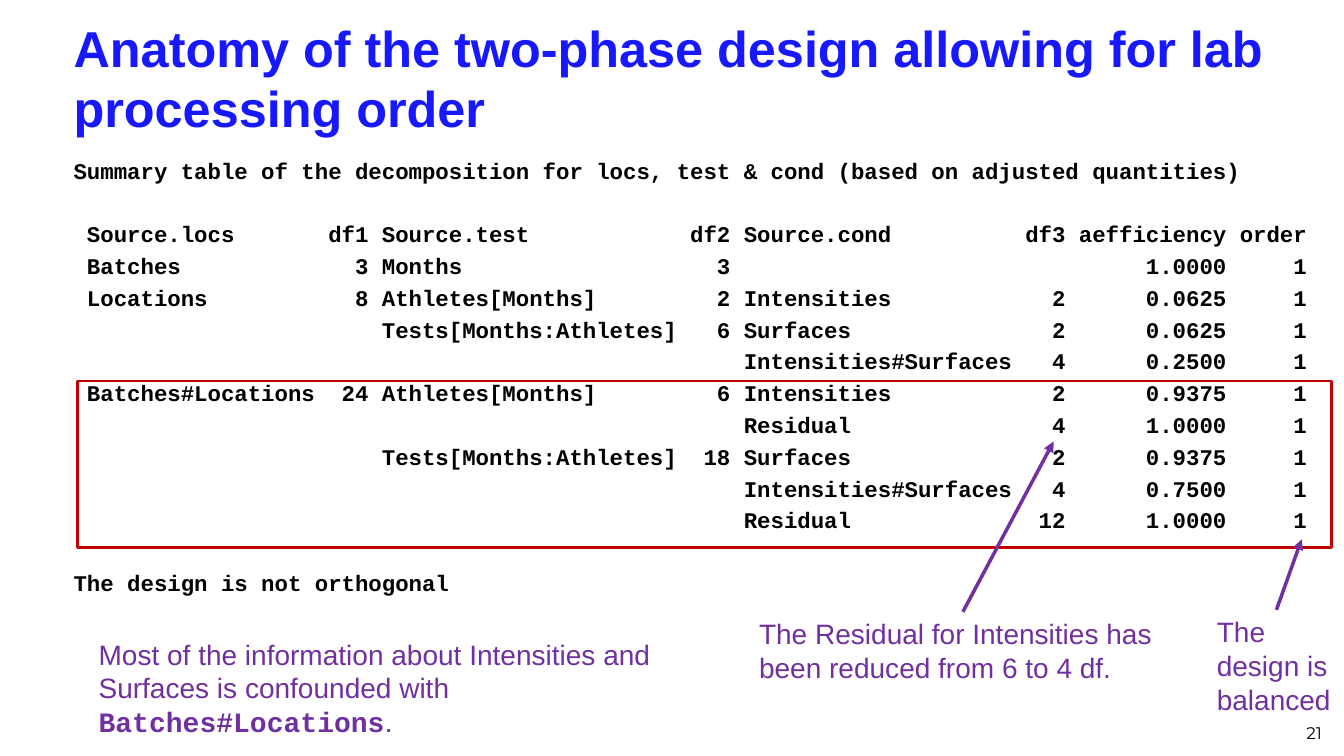
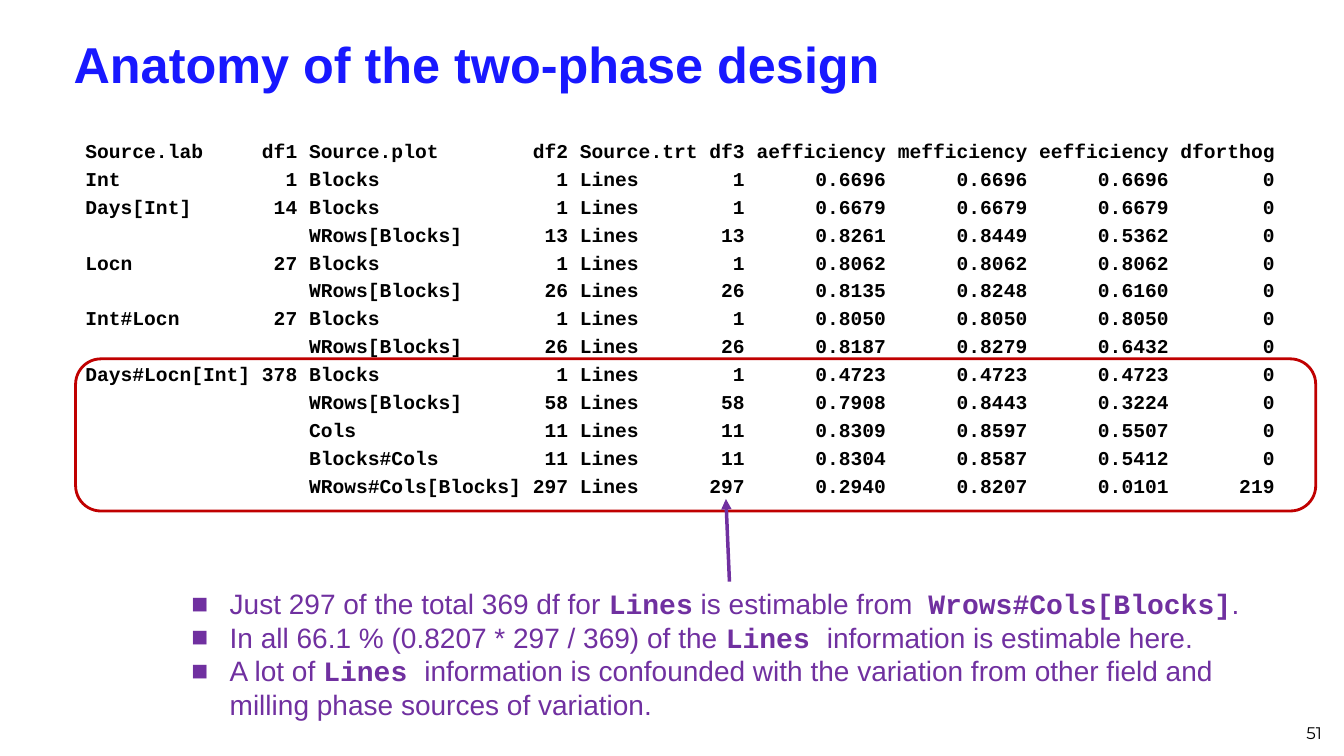
from dataclasses import dataclass
from typing import Optional

from lxml.etree import SubElement
from pptx import Presentation
from pptx.dml.color import RGBColor
from pptx.enum.shapes import MSO_CONNECTOR, MSO_SHAPE
from pptx.enum.text import MSO_ANCHOR, MSO_AUTO_SIZE, PP_ALIGN
from pptx.oxml.ns import qn
from pptx.util import Inches, Pt

# Shared look
TITLE_BLUE = RGBColor(0x18, 0x18, 0xFF)
NOTE_PURPLE = RGBColor(0x70, 0x30, 0xA0)
FRAME_RED = RGBColor(0xC0, 0x00, 0x00)
BLACK = RGBColor(0x00, 0x00, 0x00)
SANS, MONO, NUMBER_FONT = "Arial", "Courier New", "Montserrat"
LEFT, WIDTH = 0.63, 12.6
TITLE_TOP = 0.23
# Space before a listing line and before a listing block, relative to text size
LINE_GAP, BLOCK_GAP = 0.22, 1.62
BULLET_INDENT = Inches(0.38)

Block = tuple[str, ...]


@dataclass(frozen=True)
class Box:
    left: float
    top: float
    width: float
    height: float

    def lengths(self) -> tuple:
        return tuple(Inches(v) for v in (self.left, self.top, self.width, self.height))


@dataclass(frozen=True)
class Note:
    """A purple remark; words between backticks are set as code."""
    box: Box
    paragraphs: tuple[str, ...]
    bulleted: bool = False
    arrow_tip: Optional[tuple[float, float]] = None


@dataclass(frozen=True)
class AnatomySlide:
    title: str
    title_height: float
    listing: tuple[Block, ...]
    listing_box: Box
    listing_size: int
    frame: MSO_SHAPE
    frame_box: Box
    notes: tuple[Note, ...]
    number: str


LAB_ORDER_LISTING = (
    ("Summary table of the decomposition for locs, test & cond (based on adjusted quantities)",),
    (
        " Source.locs       df1 Source.test            df2 Source.cond          df3 aefficiency order",
        " Batches             3 Months                   3                               1.0000     1",
        " Locations           8 Athletes[Months]         2 Intensities            2      0.0625     1",
        "                       Tests[Months:Athletes]   6 Surfaces               2      0.0625     1",
        "                                                  Intensities#Surfaces   4      0.2500     1",
        " Batches#Locations  24 Athletes[Months]         6 Intensities            2      0.9375     1",
        "                                                  Residual               4      1.0000     1",
        "                       Tests[Months:Athletes]  18 Surfaces               2      0.9375     1",
        "                                                  Intensities#Surfaces   4      0.7500     1",
        "                                                  Residual              12      1.0000     1",
    ),
    ("The design is not orthogonal",),
)

MILLING_LISTING = (
    (
        " Source.lab     df1 Source.plot        df2 Source.trt df3 aefficiency mefficiency eefficiency dforthog",
        " Int              1 Blocks               1 Lines        1      0.6696      0.6696      0.6696        0",
        " Days[Int]       14 Blocks               1 Lines        1      0.6679      0.6679      0.6679        0",
        "                    WRows[Blocks]       13 Lines       13      0.8261      0.8449      0.5362        0",
        " Locn            27 Blocks               1 Lines        1      0.8062      0.8062      0.8062        0",
        "                    WRows[Blocks]       26 Lines       26      0.8135      0.8248      0.6160        0",
        " Int#Locn        27 Blocks               1 Lines        1      0.8050      0.8050      0.8050        0",
        "                    WRows[Blocks]       26 Lines       26      0.8187      0.8279      0.6432        0",
        " Days#Locn[Int] 378 Blocks               1 Lines        1      0.4723      0.4723      0.4723        0",
        "                    WRows[Blocks]       58 Lines       58      0.7908      0.8443      0.3224        0",
        "                    Cols                11 Lines       11      0.8309      0.8597      0.5507        0",
        "                    Blocks#Cols         11 Lines       11      0.8304      0.8587      0.5412        0",
        "                    WRows#Cols[Blocks] 297 Lines      297      0.2940      0.8207      0.0101      219",
    ),
)

SLIDES = (
    AnatomySlide(
        title="Anatomy of the two-phase design allowing for lab processing order",
        title_height=1.07,
        listing=LAB_ORDER_LISTING,
        listing_box=Box(LEFT, 1.51, WIDTH, 4.57),
        listing_size=16,
        frame=MSO_SHAPE.RECTANGLE,
        frame_box=Box(0.77, 3.78, 12.44, 1.65),
        notes=(
            Note(Box(0.88, 6.27, 5.74, 1.11),
                 ("Most of the information about Intensities and Surfaces is "
                  "confounded with `Batches#Locations`.",)),
            Note(Box(11.97, 6.05, 1.38, 1.11), ("The design is balanced",),
                 arrow_tip=(12.91, 5.35)),
            Note(Box(7.43, 6.07, 4.24, 0.77),
                 ("The Residual for Intensities has been reduced from 6 to 4 df.",),
                 arrow_tip=(10.45, 4.38)),
        ),
        number="21",
    ),
    AnatomySlide(
        title="Anatomy of the two-phase design",
        title_height=0.79,
        listing=MILLING_LISTING,
        listing_box=Box(LEFT, 1.33, WIDTH, 4.03),
        listing_size=14,
        frame=MSO_SHAPE.ROUNDED_RECTANGLE,
        frame_box=Box(0.75, 3.56, 12.3, 1.51),
        notes=(
            Note(Box(1.8, 5.77, 10.87, 1.45),
                 ("Just 297 of the total 369 df for `Lines` is estimable from  `Wrows#Cols[Blocks]`.",
                  "In all 66.1 % (0.8207 * 297 / 369) of the `Lines `information is estimable here.",
                  "A lot of `Lines `information is confounded with the variation from "
                  "other field and milling phase sources of variation."),
                 bulleted=True, arrow_tip=(7.2, 4.95)),
        ),
        number="51",
    ),
)


def style_font(font, name: str, size: int, color: RGBColor, bold: bool = False) -> None:
    font.name, font.size, font.bold = name, Pt(size), bold
    font.color.rgb = color


def place(shape, box: Box) -> None:
    shape.left, shape.top, shape.width, shape.height = box.lengths()


def set_bullet(paragraph, char: Optional[str]) -> None:
    """Give the paragraph a hanging bullet, or none at all."""
    properties = paragraph._p.get_or_add_pPr()
    indent = BULLET_INDENT if char else 0
    properties.set("marL", str(indent))
    properties.set("indent", str(-indent))
    if char:
        SubElement(properties, qn("a:buFont"), typeface=SANS)
        SubElement(properties, qn("a:buChar"), char=char)
    else:
        SubElement(properties, qn("a:buNone"))


def fill_title(slide, text: str, height: float) -> None:
    title = slide.shapes.title
    place(title, Box(LEFT, TITLE_TOP, WIDTH, height))
    frame = title.text_frame
    frame.text = text
    frame.auto_size = MSO_AUTO_SIZE.NONE
    frame.vertical_anchor = MSO_ANCHOR.MIDDLE
    paragraph = frame.paragraphs[0]
    paragraph.alignment = PP_ALIGN.LEFT
    style_font(paragraph.runs[0].font, SANS, 36, TITLE_BLUE, bold=True)


def fill_listing(slide, listing: tuple[Block, ...], box: Box, size: int) -> None:
    body = slide.placeholders[1]
    place(body, box)
    frame = body.text_frame
    frame.text = "\n".join(line for block in listing for line in block)
    frame.auto_size = MSO_AUTO_SIZE.NONE
    gaps = [LINE_GAP if index else BLOCK_GAP for block in listing for index in range(len(block))]
    gaps[0] = 0
    for paragraph, gap in zip(frame.paragraphs, gaps):
        set_bullet(paragraph, None)
        paragraph.space_before = Pt(gap * size)
        style_font(paragraph.runs[0].font, MONO, size, BLACK, bold=True)


def add_frame(slide, kind: MSO_SHAPE, box: Box) -> None:
    frame = slide.shapes.add_shape(kind, *box.lengths())
    frame.shadow.inherit = False
    frame.fill.background()
    frame.line.color.rgb = FRAME_RED
    frame.line.width = Pt(2)


def add_arrow(slide, source, tip: tuple[float, float]) -> None:
    """Point from the top middle of the source to the tip."""
    end = tuple(Inches(v) for v in tip)
    arrow = slide.shapes.add_connector(MSO_CONNECTOR.STRAIGHT, *end, *end)
    arrow.begin_connect(source, 0)
    arrow.line.color.rgb = NOTE_PURPLE
    arrow.line.width = Pt(2.5)
    SubElement(arrow.line._get_or_add_ln(), qn("a:tailEnd"), type="triangle")
    SubElement(arrow._element.spPr, qn("a:effectLst"))


def add_note(slide, note: Note) -> None:
    remark = slide.shapes.add_textbox(*note.box.lengths())
    frame = remark.text_frame
    frame.word_wrap = True
    frame.auto_size = MSO_AUTO_SIZE.SHAPE_TO_FIT_TEXT
    for index, text in enumerate(note.paragraphs):
        paragraph = frame.add_paragraph() if index else frame.paragraphs[0]
        if note.bulleted:
            set_bullet(paragraph, "■")
        for part_index, part in enumerate(text.split("`")):
            is_code = part_index % 2 == 1
            run = paragraph.add_run()
            run.text = part
            style_font(run.font, MONO if is_code else SANS, 20, NOTE_PURPLE, bold=is_code)
    if note.arrow_tip:
        add_arrow(slide, remark, note.arrow_tip)


def add_number(slide, number: str) -> None:
    footer = slide.shapes.add_textbox(*Box(10.1, 6.92, 3.11, 0.5).lengths())
    frame = footer.text_frame
    frame.word_wrap = True
    frame.vertical_anchor = MSO_ANCHOR.BOTTOM
    frame.text = number
    paragraph = frame.paragraphs[0]
    paragraph.alignment = PP_ALIGN.RIGHT
    style_font(paragraph.runs[0].font, NUMBER_FONT, 12, BLACK)


def build_slide(presentation, content: AnatomySlide) -> None:
    slide = presentation.slides.add_slide(presentation.slide_layouts[1])
    fill_title(slide, content.title, content.title_height)
    fill_listing(slide, content.listing, content.listing_box, content.listing_size)
    add_number(slide, content.number)
    add_frame(slide, content.frame, content.frame_box)
    for note in content.notes:
        add_note(slide, note)


def main() -> None:
    presentation = Presentation()
    presentation.slide_width, presentation.slide_height = Inches(13.33), Inches(7.5)
    for content in SLIDES:
        build_slide(presentation, content)
    presentation.save("out.pptx")


if __name__ == "__main__":
    main()
